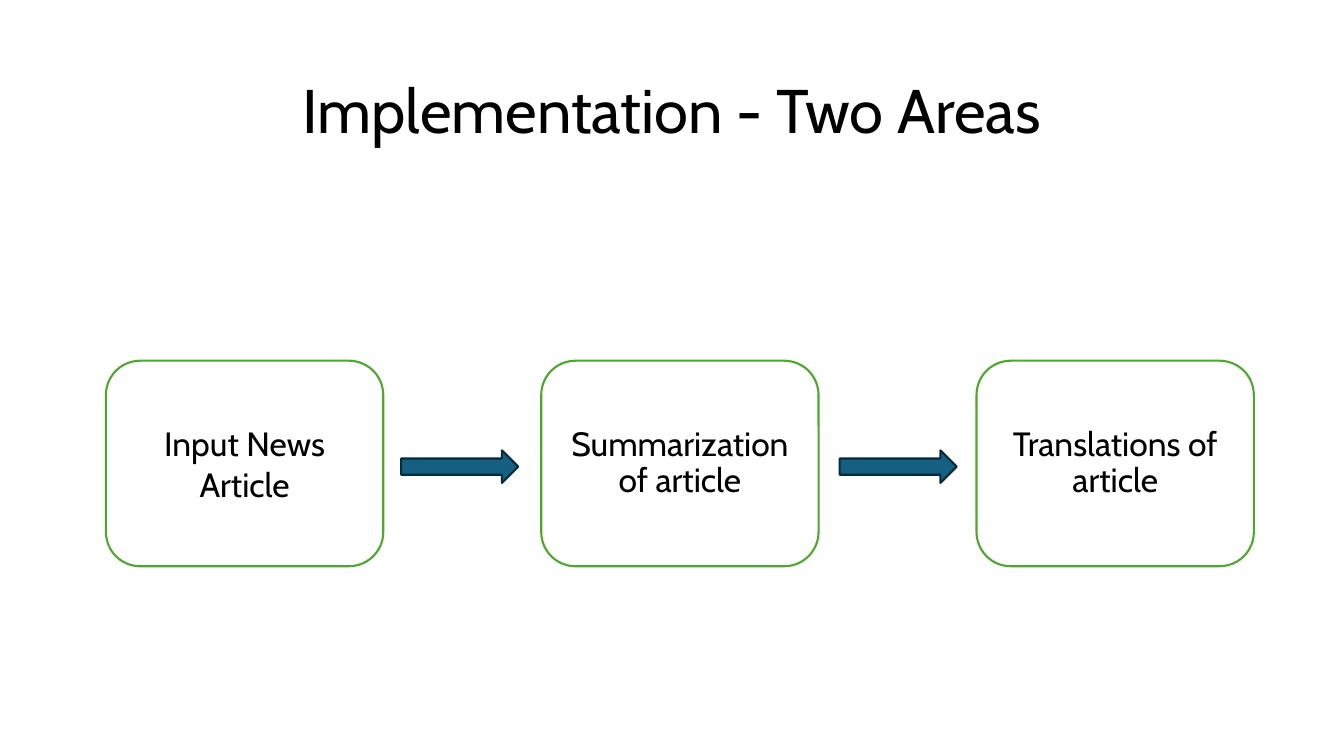
from pptx import Presentation
from pptx.dml.color import RGBColor
from pptx.enum.shapes import MSO_SHAPE
from pptx.enum.text import MSO_ANCHOR, PP_ALIGN
from pptx.util import Cm, Pt

BLACK = RGBColor(0x00, 0x00, 0x00)
WHITE = RGBColor(0xFF, 0xFF, 0xFF)
GREEN = RGBColor(0x4E, 0xA7, 0x2E)
BLUE = RGBColor(0x15, 0x60, 0x82)
NAVY = RGBColor(0x09, 0x2A, 0x39)

ROUNDED = MSO_SHAPE.ROUNDED_RECTANGLE
RIGHT_ARROW = MSO_SHAPE.RIGHT_ARROW
MIDDLE = MSO_ANCHOR.MIDDLE
CENTER = PP_ALIGN.CENTER

STEPS = [
    ("Input News Article", 1.0, 0),
    ("Summarization of article", 0.9, 10),
    ("Translations of article", 0.9, 10),
]
BOX_LEFT, BOX_TOP, BOX_PITCH = 2.67, 9.09, 10.97
ARROW_LEFT, ARROW_TOP, ARROW_PITCH = 10.11, 11.35, 11.05


class Deck:
    font = "Cabin"
    line_width = Pt(1.5)

    def __init__(self, prs):
        self.s = prs.slides.add_slide(prs.slide_layouts[6])

    def label(self, sp, text, size, spacing, before=0):
        tf = sp.text_frame
        tf.word_wrap = True
        tf.vertical_anchor = MIDDLE
        tf.text = text
        p = tf.paragraphs[0]
        p.alignment = CENTER
        p.line_spacing = spacing
        p.space_before = Pt(before)
        r = p.runs[0]
        r.font.name = self.font
        r.font.size = Pt(size)
        r.font.color.rgb = BLACK

    def shape(self, kind, left, top, width, height, fill, line):
        sp = self.s.shapes.add_shape(kind, Cm(left), Cm(top), Cm(width), Cm(height))
        sp.shadow.inherit = False
        sp.fill.solid()
        sp.fill.fore_color.rgb = fill
        sp.line.color.rgb = line
        sp.line.width = self.line_width
        return sp

    def title(self, text):
        sp = self.s.shapes.add_textbox(Cm(2.33), Cm(1.01), Cm(29.21), Cm(3.68))
        self.label(sp, text, 44, 0.9)

    def box(self, left, top, text, spacing, before):
        sp = self.shape(ROUNDED, left, top, 6.99, 5.18, WHITE, GREEN)
        self.label(sp, text, 24, spacing, before)

    def arrow(self, left, top):
        self.shape(RIGHT_ARROW, left, top, 2.95, 0.82, BLUE, NAVY)


def main():
    prs = Presentation()
    prs.slide_width, prs.slide_height = Cm(33.87), Cm(19.05)
    deck = Deck(prs)
    deck.title("Implementation - Two Areas")
    for i, (text, spacing, before) in enumerate(STEPS):
        deck.box(BOX_LEFT + i * BOX_PITCH, BOX_TOP, text, spacing, before)
    for i in range(len(STEPS) - 1):
        deck.arrow(ARROW_LEFT + i * ARROW_PITCH, ARROW_TOP)
    prs.save("out.pptx")


if __name__ == "__main__":
    main()
